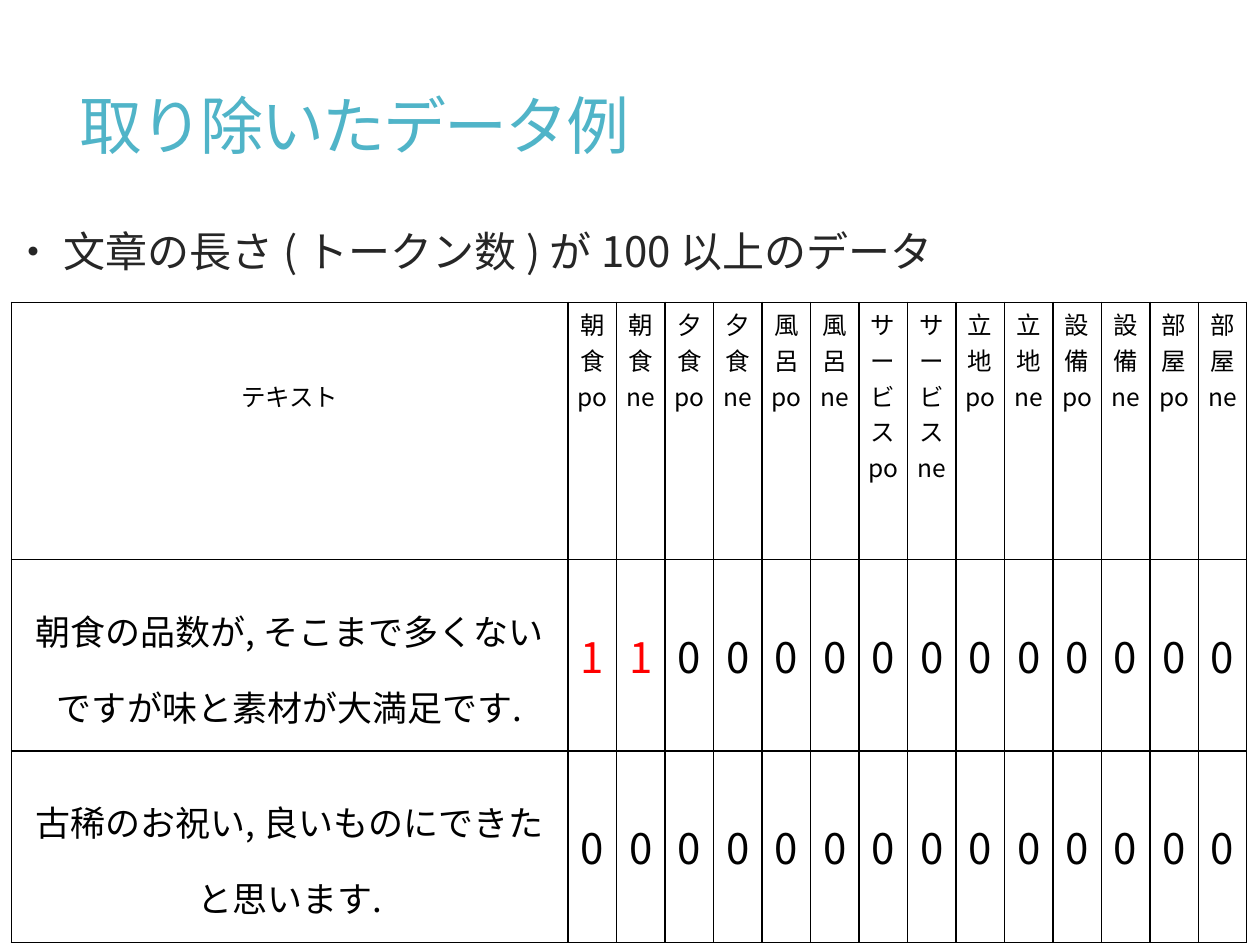
"""Build the slide listing examples of removed review data."""
from dataclasses import dataclass

from lxml.etree import SubElement
from pptx import Presentation
from pptx.dml.color import RGBColor
from pptx.enum.text import MSO_ANCHOR as Anchor, PP_ALIGN as Align
from pptx.oxml.ns import qn
from pptx.util import Inches, Length, Pt

FONT = "Noto Sans CJK JP"
TEAL = RGBColor(0x50, 0xB4, 0xC8)
DARK = RGBColor(0x26, 0x26, 0x26)
BLACK = RGBColor(0, 0, 0)
RED = RGBColor(0xFF, 0, 0)

TABLE_W, TEXT_W = 9.81, 4.42
ROW_HEIGHTS = (2.04, 1.52, 1.52)
MARGINS = {"margin_left": Inches(0.06), "margin_right": Inches(0.06),
           "margin_top": Inches(0.03), "margin_bottom": Inches(0.03)}
TOPICS = ("朝食", "夕食", "風呂", "サービス", "立地", "設備", "部屋")
POLARITIES = ("po", "ne")


@dataclass
class Label:
    text: str
    box: tuple[float, float, float, float]
    size: int
    color: RGBColor
    line_spacing: float
    anchor: Anchor = Anchor.TOP
    tracking: int = 0


@dataclass
class Review:
    text: str
    flags: tuple[int, ...]


LABELS = (
    Label("取り除いたデータ例", (0.53, 0.52, 6.94, 1.01), 36, TEAL, 0.9,
          Anchor.MIDDLE, -120),
    Label("・ 文章の長さ ( トークン数 ) が 100 以上のデータ",
          (0, 1.8, 10.07, 5.42), 24, DARK, 0.85),
)
REVIEWS = (
    Review("朝食の品数が, そこまで多くない\vですが味と素材が大満足です.",
           (1, 1) + (0,) * 12),
    Review("古稀のお祝い, 良いものにできた\vと思います.", (0,) * 14),
)


def fill_text(tf, lines: list[str], size: int, color: RGBColor,
              tracking: int = 0, **paragraph_format) -> None:
    for i, line in enumerate(lines):
        p = tf.add_paragraph() if i else tf.paragraphs[0]
        p.text = line
        for name, value in paragraph_format.items():
            setattr(p, name, value)
        for r in p.runs:
            for name, value in {"size": Pt(size), "name": FONT}.items():
                setattr(r.font, name, value)
            r.font.color.rgb = color
            rpr = r.font._element
            SubElement(rpr, qn("a:ea"), typeface=FONT)
            if tracking:
                rpr.set("spc", str(tracking))


def add_label(s, label: Label) -> None:
    tf = s.shapes.add_textbox(*map(Inches, label.box)).text_frame
    tf.word_wrap = True
    tf.vertical_anchor = label.anchor
    fill_text(tf, [label.text], label.size, label.color, label.tracking,
              line_spacing=label.line_spacing)


def add_borders(cell, width: Length) -> None:
    tcpr = cell._tc.get_or_add_tcPr()
    for i, side in enumerate(("a:lnL", "a:lnR", "a:lnT", "a:lnB")):
        ln = tcpr.makeelement(qn(side), {"w": str(width)})
        SubElement(SubElement(ln, qn("a:solidFill")), qn("a:srgbClr"),
                   val=str(BLACK))
        tcpr.insert(i, ln)


def fill_cell(cell, lines: list[str], size: int, color: RGBColor = BLACK,
              anchor: Anchor = Anchor.MIDDLE, line_spacing: float = 1.0,
              **margins: Length) -> None:
    for name, value in {**MARGINS, **margins}.items():
        setattr(cell, name, value)
    cell.vertical_anchor = anchor
    cell.fill.background()
    add_borders(cell, Pt(1))
    fill_text(cell.text_frame, lines, size, color, alignment=Align.CENTER,
              line_spacing=line_spacing)


def header_lines(topic: str, polarity: str) -> list[str]:
    return [topic, polarity] if len(topic) == 2 else [topic + polarity]


def add_review_table(s) -> None:
    headers = [header_lines(t, pol) for t in TOPICS for pol in POLARITIES]
    table = s.shapes.add_table(
        len(ROW_HEIGHTS), len(headers) + 1, Inches(0.09), Inches(2.4),
        Inches(TABLE_W), Inches(sum(ROW_HEIGHTS))).table
    table.first_row = table.horz_banding = False
    flag_w = (TABLE_W - TEXT_W) / len(headers)
    for col, width in zip(table.columns, [TEXT_W] + [flag_w] * len(headers)):
        col.width = Inches(width)
    for row, height in zip(table.rows, ROW_HEIGHTS):
        row.height = Inches(height)

    fill_cell(table.cell(0, 0), ["テキスト"], 14, anchor=Anchor.TOP,
              margin_top=Inches(0.6))
    for c, lines in enumerate(headers, 1):
        fill_cell(table.cell(0, c), lines, 14, anchor=Anchor.TOP)
    for r, review in enumerate(REVIEWS, 1):
        fill_cell(table.cell(r, 0), [review.text], 20, line_spacing=1.5)
        for c, flag in enumerate(review.flags, 1):
            fill_cell(table.cell(r, c), [str(flag)], 24,
                      RED if flag else BLACK)


def main() -> None:
    prs = Presentation()
    prs.slide_width, prs.slide_height = Inches(10), Inches(7.5)
    s = prs.slides.add_slide(prs.slide_layouts[6])
    for label in LABELS:
        add_label(s, label)
    add_review_table(s)
    prs.save("out.pptx")


if __name__ == "__main__":
    main()
